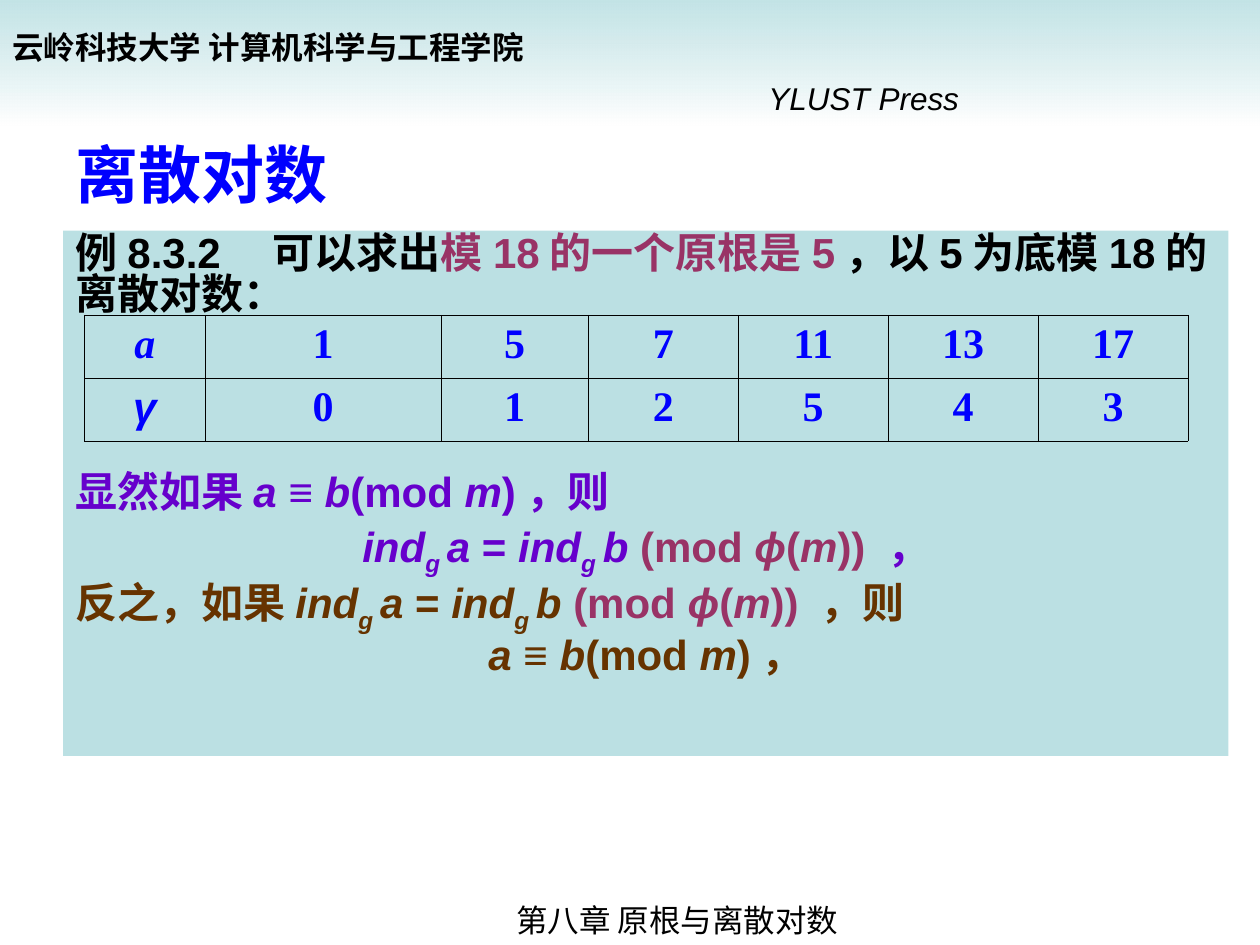
import pptx
import pptx.dml.color
import pptx.enum.shapes
import pptx.enum.text
import pptx.oxml
import pptx.oxml.ns
import pptx.util

Inches = pptx.util.Inches
Pt = pptx.util.Pt
ALIGN = pptx.enum.text.PP_ALIGN
ANCHOR = pptx.enum.text.MSO_ANCHOR

COLORS = {
    "black": "000000", "white": "FFFFFF", "panel": "BBE0E3", "blue": "0000FF",
    "purple": "6600CC", "plum": "993366", "brown": "663300",
}


def rgb(name):
    return pptx.dml.color.RGBColor.from_string(COLORS[name])


def style_font(font, size, color, bold=False, italic=False, name="Arial"):
    font.name, font.size, font.bold, font.italic = name, Pt(size), bold, italic
    font.color.rgb = rgb(color)


def add_rect(slide, box):
    sp = slide.shapes.add_shape(pptx.enum.shapes.MSO_SHAPE.RECTANGLE,
                                *map(Inches, box))
    sp.shadow.inherit = False
    sp.line.fill.background()
    return sp


def add_label(slide, box, text, size, color="black", **style):
    tf = slide.shapes.add_textbox(*map(Inches, box)).text_frame
    tf.word_wrap = True
    p = tf.paragraphs[0]
    p.text = text
    style_font(p.font, size, color, **style)
    return tf


def add_banner(slide, box):
    left, top, width, height = box
    sp = add_rect(slide, box)
    # Fades downwards from a slightly transparent tint to white
    sp.fill.gradient()
    sp.fill.gradient_angle = 270
    for stop, color, position in zip(sp.fill.gradient_stops, ("panel", "white"), (0, 1)):
        stop.color.rgb = rgb(color)
        stop.position = position
    tint = next(sp._element.iter(pptx.oxml.ns.qn("a:srgbClr")))
    tint.append(pptx.oxml.parse_xml(
        f'<a:alpha {pptx.oxml.ns.nsdecls("a")} val="87000"/>'))
    add_label(slide, (left, top + 0.17, 6.5, 0.4),
              "云岭科技大学 计算机科学与工程学院", 18, bold=True)
    add_label(slide, (left + 6, top + 0.58, 3.5, 0.4), "YLUST Press", 18, italic=True)


def congruence(color, ending):
    return [("a ", color, "i"), ("≡ ", color, ""), ("b", color, "i"),
            ("(mod ", color, ""), ("m", color, "i"), (")" + ending, color, "")]


def index_equation(color, ending):
    return [("ind", color, "i"), ("g ", color, "sub"), ("a", color, "i"),
            (" = ", color, ""), ("ind", color, "i"), ("g ", color, "sub"),
            ("b ", color, "i"), ("(mod ", "plum", ""), ("ϕ", "plum", "i"),
            ("(", "plum", ""), ("m", "plum", "i"), (")) ", "plum", ""),
            (ending, color, "")]


def add_body(slide, box):
    sp = add_rect(slide, box)
    sp.fill.solid()
    sp.fill.fore_color.rgb = rgb("panel")
    tf = sp.text_frame
    tf.word_wrap = True
    tf.vertical_anchor = ANCHOR.TOP
    table_gap = 90  # leaves room for the table
    lines = [
        (ALIGN.LEFT, 6, [("例8.3.2\u3000可以求出".replace("\u3000", "　"), "black", ""),
                         ("模18的一个原根是5", "plum", ""),
                         ("，以5为底模18的离散对数：", "black", "")]),
        (ALIGN.LEFT, table_gap,
         [("显然如果", "purple", "")] + congruence("purple", "，则")),
        (ALIGN.CENTER, 6, index_equation("purple", "，")),
        (ALIGN.LEFT, 6,
         [("反之，如果", "brown", "")] + index_equation("brown", "，则")),
        (ALIGN.CENTER, 6, congruence("brown", "，")),
    ]
    for i, (align, before, runs) in enumerate(lines):
        p = tf.add_paragraph() if i else tf.paragraphs[0]
        p.alignment, p.line_spacing, p.space_before = align, 0.8, Pt(before)
        for text, color, kind in runs:
            r = p.add_run()
            r.text = text
            style_font(r.font, 24, color, bold=True, italic=bool(kind))
            if kind == "sub":
                r.font._element.set("baseline", "-25000")


def set_borders(cell, widths):
    tcPr = cell._tc.get_or_add_tcPr()
    for side, width in zip("LRTB", widths):
        tcPr.append(pptx.oxml.parse_xml(
            f'<a:ln{side} {pptx.oxml.ns.nsdecls("a")} w="{Pt(width)}"><a:solidFill>'
            f'<a:srgbClr val="{COLORS["black"]}"/></a:solidFill></a:ln{side}>'))


def add_log_table(slide, box):
    rows = [["a", 1, 5, 7, 11, 13, 17], ["γ", 0, 1, 2, 5, 4, 3]]
    widths = [0.96, 1.87, 1.17] + [1.19] * 4
    outer, inner = 0.34, 0.45
    last_row, last_col = len(rows) - 1, len(widths) - 1
    table = slide.shapes.add_table(len(rows), len(widths), *map(Inches, box)).table
    table.first_row = table.horz_banding = False
    for column, width in zip(table.columns, widths):
        column.width = Inches(width)
    for i, values in enumerate(rows):
        for j, value in enumerate(values):
            cell = table.cell(i, j)
            edges = (j == 0, j == last_col, i == 0, i == last_row)
            set_borders(cell, [outer if edge else inner for edge in edges])
            cell.fill.background()
            p = cell.text_frame.paragraphs[0]
            p.text = str(value)
            p.alignment = ALIGN.CENTER
            style_font(p.font, 24, "blue", bold=True, italic=j == 0,
                       name="Arial" if value == "γ" else "Times New Roman")


def main():
    prs = pptx.Presentation()
    prs.slide_width, prs.slide_height = Inches(10), Inches(7.5)
    slide = prs.slides.add_slide(prs.slide_layouts[6])

    # Header and footer
    add_banner(slide, (0, 0, 10, 1))
    add_label(slide, (4, 7.1, 3.08, 0.4), "第八章 原根与离散对数", 18)

    # Title
    tf = add_label(slide, (0.5, 1, 9, 0.75), "离散对数", 36, "blue", bold=True)
    tf.vertical_anchor = ANCHOR.MIDDLE

    # Example with its table of discrete logarithms
    add_body(slide, (0.5, 1.83, 9.25, 4.17))
    add_log_table(slide, (0.67, 2.5, 8.75, 1))

    prs.save("out.pptx")


if __name__ == "__main__":
    main()
